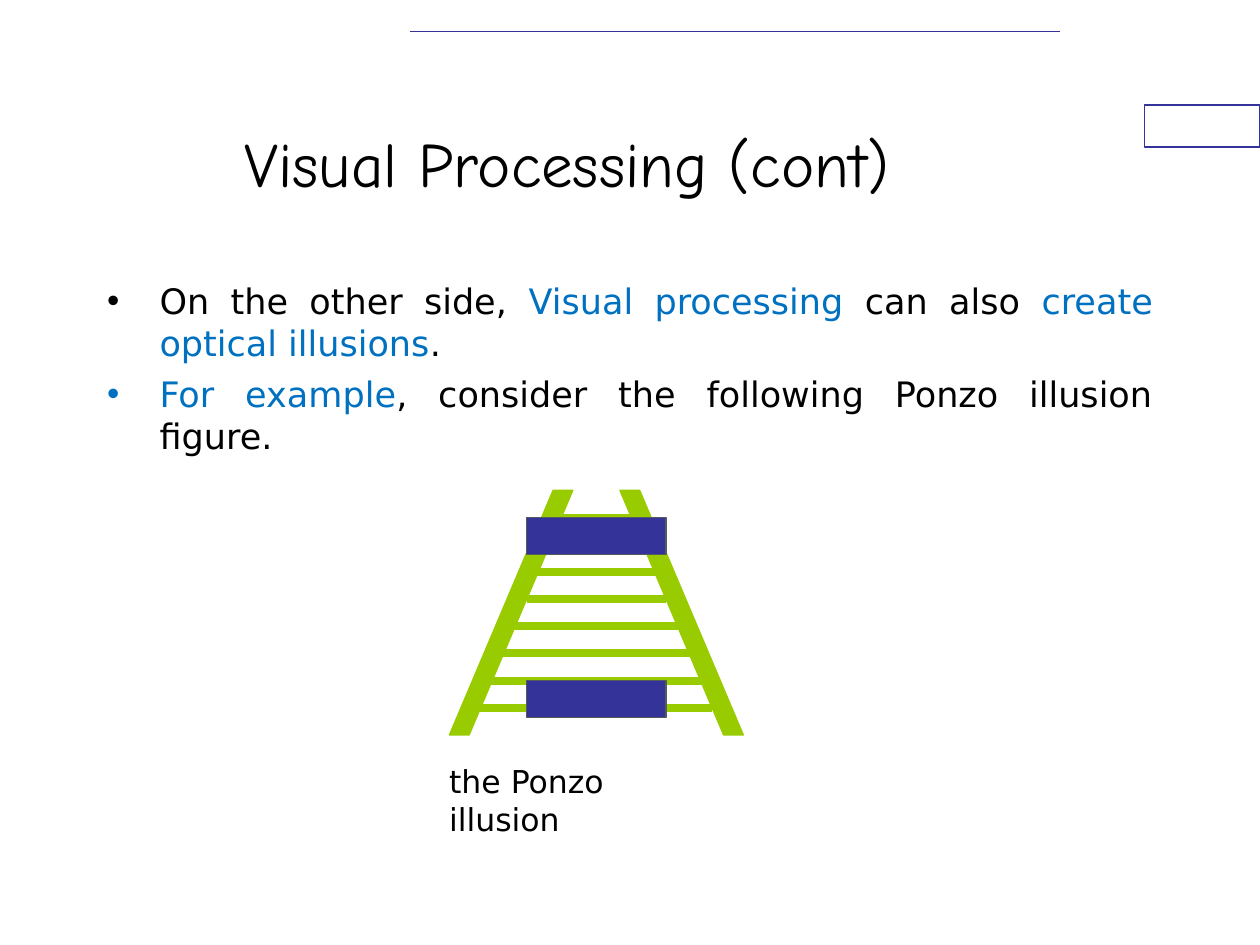
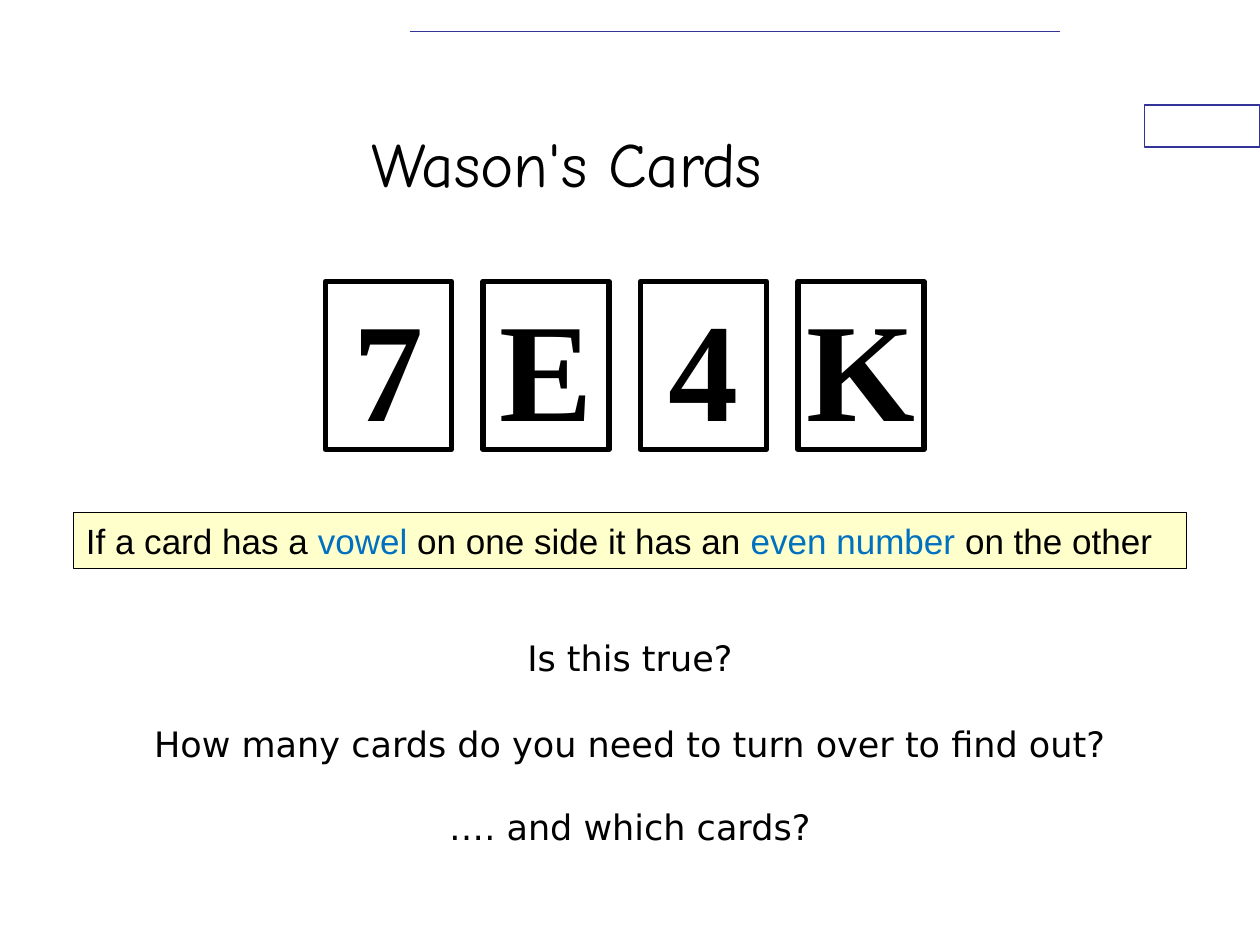
"""Build two slides on visual processing and reasoning."""
import lxml.etree
import pptx
import pptx.dml.color
import pptx.enum.shapes
import pptx.enum.text
import pptx.oxml.ns
import pptx.util

SHAPE = pptx.enum.shapes.MSO_SHAPE
ALIGN = pptx.enum.text.PP_ALIGN
ANCHOR = pptx.enum.text.MSO_ANCHOR
RGB = pptx.dml.color.RGBColor
Pt = pptx.util.Pt

BLACK = RGB(0x00, 0x00, 0x00)
WHITE = RGB(0xFF, 0xFF, 0xFF)
BLUE = RGB(0x00, 0x70, 0xC0)
INDIGO = RGB(0x33, 0x33, 0x99)
GREEN = RGB(0x99, 0xCC, 0x00)
GREY = RGB(0x55, 0x5A, 0x5E)
CREAM = RGB(0xFF, 0xFF, 0xCC)

CELL = pptx.util.Inches(1) / 12
COLUMNS, ROWS = 120, 90

TITLE_FONT = {"name": "Comic Neue", "size": Pt(36)}
BODY_FONT = {"name": "DejaVu Sans", "size": Pt(20)}
CAPTION_FONT = {"name": "DejaVu Sans", "size": Pt(18)}
RULE_FONT = {"name": "Arial", "size": Pt(20)}
CARD_FONT = {"name": "Times New Roman", "size": Pt(80), "bold": True}


def cells(*counts):
    """Turn counts of grid cells into lengths."""
    return [round(count * CELL) for count in counts]


def apply_format(target, values):
    """Set each named attribute on the target."""
    for name, value in values.items():
        setattr(target, name, value)


def add_element(parent, tag, **attributes):
    """Append a drawing element to the parent."""
    return lxml.etree.SubElement(parent, pptx.oxml.ns.qn(tag), attributes)


def place(shape, box):
    """Move a shape to a box of grid cells."""
    apply_format(shape, dict(zip(("left", "top", "width", "height"), cells(*box))))


def draw_shape(shapes, kind, box, fill, line, weight):
    """Add a flat preset shape in a box of grid cells."""
    shape = shapes.add_shape(kind, *cells(*box))
    shape.shadow.inherit = False
    if fill is None:
        shape.fill.background()
    else:
        shape.fill.solid()
        shape.fill.fore_color.rgb = fill
    shape.line.color.rgb = line
    shape.line.width = Pt(weight)
    return shape


def draw_line(shapes, left, right, row, color, weight):
    """Add a level line between two columns."""
    connector = shapes.add_connector(
        pptx.enum.shapes.MSO_CONNECTOR.STRAIGHT, *cells(left, row, right, row))
    connector.line.color.rgb = color
    connector.line.width = Pt(weight)
    add_element(connector.element.spPr, "a:effectLst")
    return connector


def write_runs(paragraph, runs, font):
    """Write (text, colour) pairs in one font."""
    for text, color in runs:
        run = paragraph.add_run()
        run.text = text
        apply_format(run.font, font)
        run.font.color.rgb = color


def set_bullet(paragraph, color):
    """Give a paragraph a hanging bullet, or none without a colour."""
    properties = paragraph._p.get_or_add_pPr()
    indent = round(5 * CELL) if color else 0
    properties.set("marL", str(indent))
    properties.set("indent", str(-indent))
    if color is None:
        add_element(properties, "a:buNone")
        return
    add_element(add_element(properties, "a:buClr"), "a:srgbClr", val=str(color))
    add_element(properties, "a:buChar", char="•")


def fill_body(body, box, paragraphs, alignment, gaps, bulleted=False):
    """Place the body and write its paragraphs with the gaps between them."""
    place(body, box)
    frame = body.text_frame
    apply_format(frame, {"auto_size": pptx.enum.text.MSO_AUTO_SIZE.NONE,
                         "vertical_anchor": ANCHOR.TOP})
    for index, (runs, gap) in enumerate(zip(paragraphs, gaps)):
        paragraph = frame.add_paragraph() if index else frame.paragraphs[0]
        set_bullet(paragraph, runs[0][1] if bulleted else None)
        apply_format(paragraph, {"alignment": alignment, "space_before": Pt(gap)})
        write_runs(paragraph, runs, BODY_FONT)


def add_frame(slide, layout):
    """Draw the corner box and top line, and hand them to the layout."""
    corner = draw_shape(slide.shapes, SHAPE.RECTANGLE, (109, 10, 11, 4), WHITE, INDIGO, 0.75)
    top_line = draw_line(slide.shapes, 39, 101, 3, INDIGO, 1)
    for offset, part in enumerate((corner, top_line)):
        part.element.xpath(".//p:cNvPr")[0].set("id", str(20 + offset))
        layout.shapes.element.insert(2 + offset, part.element)


def add_titled_slide(presentation, layout, title):
    """Add a slide with a formatted title."""
    slide = presentation.slides.add_slide(layout)
    place(slide.shapes.title, (9, 8, 90, 15))
    frame = slide.shapes.title.text_frame
    apply_format(frame, {"auto_size": pptx.enum.text.MSO_AUTO_SIZE.NONE,
                         "vertical_anchor": ANCHOR.MIDDLE})
    frame.paragraphs[0].alignment = ALIGN.CENTER
    write_runs(frame.paragraphs[0], [(title, BLACK)], TITLE_FONT)
    return slide


def draw_ladder(slide, box):
    """Draw the converging rails, their rungs and two equal bars in a box."""
    left, top, width, height = box
    shapes = slide.shapes.add_group_shape().shapes
    step, pitch = width / 19, height / 9
    rail_width = width * 0.42
    for rail_left, mirrored in ((left, False), (left + width - rail_width, True)):
        rail = draw_shape(shapes, SHAPE.PARALLELOGRAM,
                          (rail_left, top, rail_width, height), GREEN, GREEN, 0.75)
        rail.adjustments[0] = 0.84
        if mirrored:
            rail.element.spPr.xfrm.set("flipH", "1")
    for level, inset in ((8, 1), (7, 2), (6, 3), (5, 4), (4, 5), (3, 5), (1, 7)):
        draw_line(shapes, left + inset * step, left + min(19 - inset, 17) * step,
                  top + level * pitch, GREEN, 4.5)
    for level in (7, 1):
        draw_shape(shapes, SHAPE.RECTANGLE,
                   (left + 5 * step, top + level * pitch, 9 * step, height * 0.15),
                   INDIGO, GREY, 0.75)


def add_caption(slide, box, text):
    """Write a wrapped caption in a box."""
    frame = slide.shapes.add_textbox(*cells(*box)).text_frame
    frame.word_wrap = True
    write_runs(frame.paragraphs[0], [(text, BLACK)], CAPTION_FONT)


def draw_cards(slide, box, faces):
    """Spread lettered cards over a box, with gaps of a quarter card."""
    left, top, width, height = box
    shapes = slide.shapes.add_group_shape().shapes
    card_width = width / (1.25 * len(faces) - 0.25)
    for index, face in enumerate(faces):
        card = draw_shape(shapes, SHAPE.RECTANGLE,
                          (left + index * 1.25 * card_width, top, card_width, height),
                          None, BLACK, 3)
        frame = card.text_frame
        apply_format(frame, {"margin_left": 0, "margin_right": 0, "margin_top": 0,
                             "margin_bottom": 0, "vertical_anchor": ANCHOR.MIDDLE})
        frame.paragraphs[0].alignment = ALIGN.CENTER
        write_runs(frame.paragraphs[0], [(face, BLACK)], CARD_FONT)


def add_rule(slide, box, runs):
    """Write the rule to test in a bordered strip."""
    strip = draw_shape(slide.shapes, SHAPE.RECTANGLE, box, CREAM, BLACK, 0.25)
    strip.text_frame.vertical_anchor = ANCHOR.MIDDLE
    paragraph = strip.text_frame.paragraphs[0]
    paragraph.alignment = ALIGN.LEFT
    write_runs(paragraph, runs, RULE_FONT)


def build_illusion_slide(slide):
    """Fill the slide on the Ponzo illusion."""
    points = [
        [("On the other side, ", BLACK), ("Visual processing ", BLUE), ("can also ", BLACK),
         ("create optical illusions", BLUE), (".", BLACK)],
        [("For example", BLUE),
         (", consider the following Ponzo illusion figure.", BLACK)],
    ]
    fill_body(slide.placeholders[1], (9, 26, 102, 54), points, ALIGN.JUSTIFY, (0, 5), True)
    draw_ladder(slide, (42.8, 46.7, 28, 23.3))
    add_caption(slide, (41.6, 72, 27.4, 4.8), "the Ponzo illusion")


def build_cards_slide(slide):
    """Fill the slide on the card puzzle."""
    questions = ["Is this true?", "How many cards do you need to turn over to find out?",
                 "…. and which cards?"]
    fill_body(slide.placeholders[1], (9, 60, 102, 23),
              [[(question, BLACK)] for question in questions], ALIGN.CENTER, (0, 25.5, 23))
    add_rule(slide, (7, 48.8, 106, 5.3),
             [("If a card has a ", BLACK), ("vowel", BLUE), (" on one side it has an ", BLACK),
              ("even number ", BLUE), ("on the other", BLACK)])
    draw_cards(slide, (31, 26.8, 57, 16), "7E4K")


def main():
    """Build and save the presentation."""
    presentation = pptx.Presentation()
    presentation.slide_width, presentation.slide_height = cells(COLUMNS, ROWS)
    layout = presentation.slide_layouts[1]
    illusion = add_titled_slide(presentation, layout, "Visual Processing (cont)")
    add_frame(illusion, layout)
    build_illusion_slide(illusion)
    build_cards_slide(add_titled_slide(presentation, layout, "Wason's Cards"))
    presentation.save("out.pptx")


if __name__ == "__main__":
    main()
